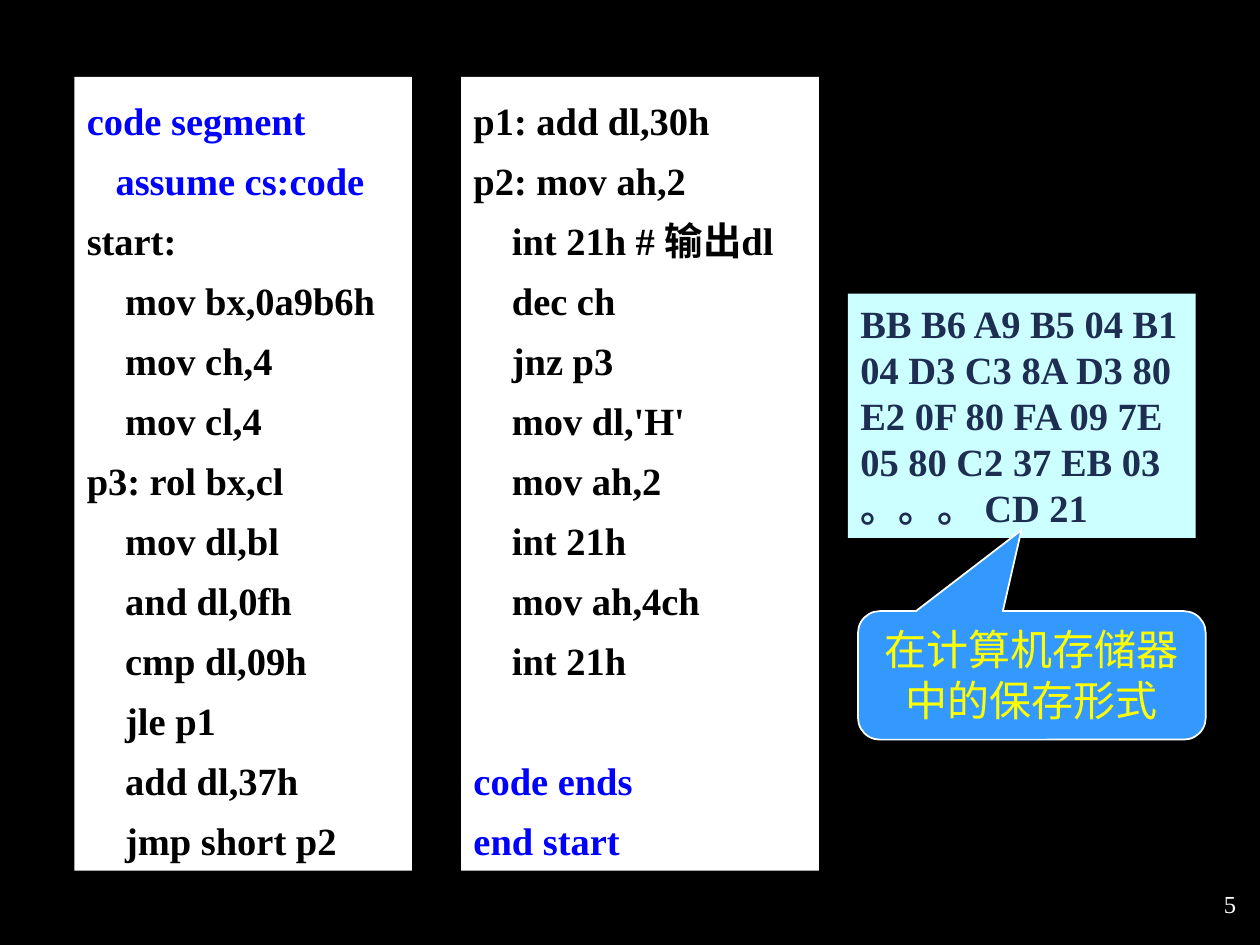
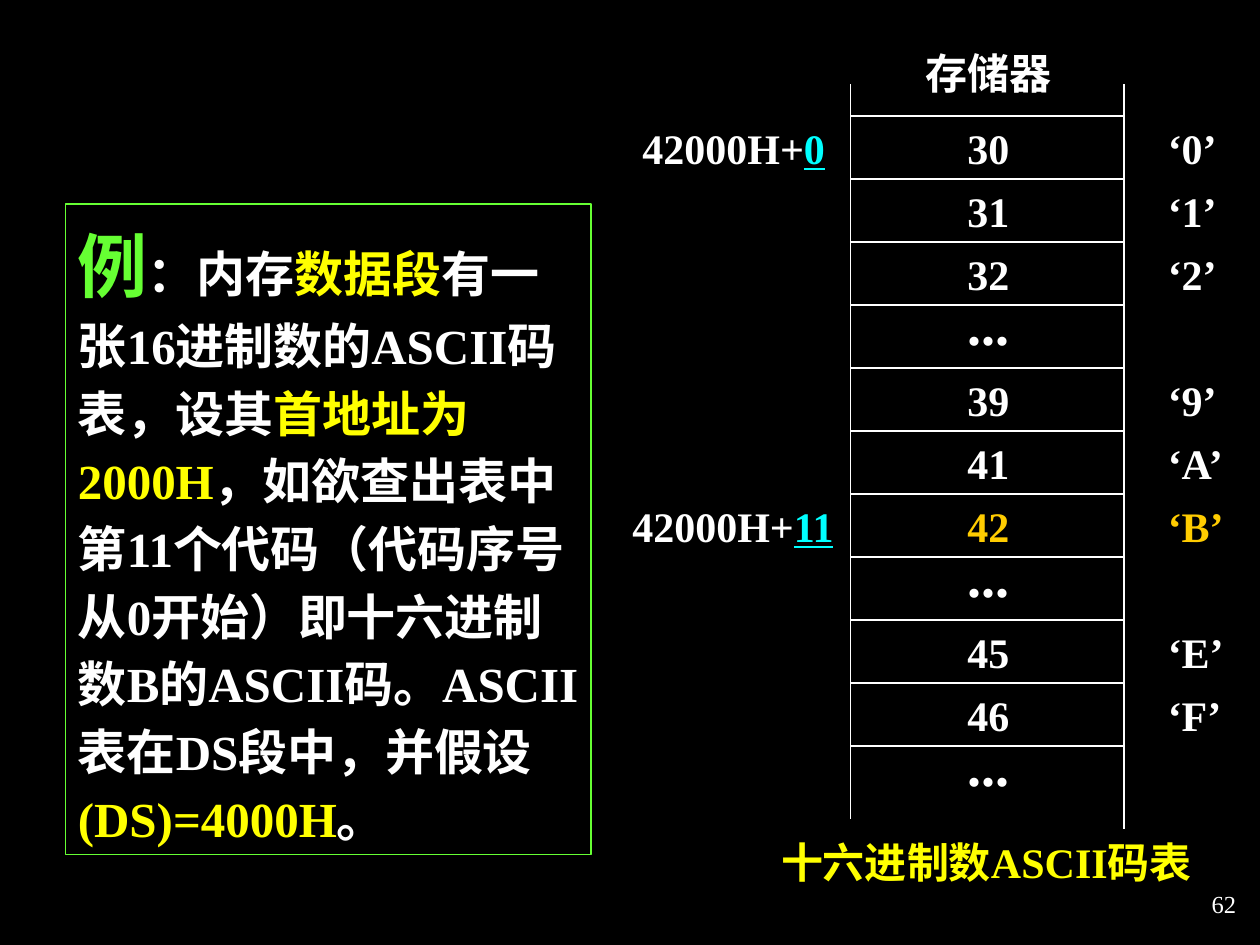
"""Two dark slides on assembly code in memory and a hexadecimal ASCII table."""
from lxml import etree
from pptx import Presentation
from pptx import util as u
from pptx.dml.color import RGBColor
from pptx.enum import shapes, text
from pptx.oxml.ns import qn

FONT = "Times New Roman"
BLACK, WHITE, BLUE, YELLOW = "000000", "FFFFFF", "0000FF", "FFFF00"
GOLD, CYAN, GREEN = "FFCC00", "00FFFF", "66FF33"
NAVY, PALE, SKY = "1E2E53", "CCFFFF", "3399FF"
LEFT, CENTER, RIGHT = text.PP_ALIGN.LEFT, text.PP_ALIGN.CENTER, text.PP_ALIGN.RIGHT

CODE_TOP, CODE_HEIGHT, CODE_SIZE, CODE_PITCH = 0.61, 6.3, 22, 34.3
CODE_COLUMNS = [
    (0.59, 2.68, [
        (BLUE, ["code segment", "   assume cs:code"]),
        (BLACK, ["start:", "    mov bx,0a9b6h", "    mov ch,4", "    mov cl,4",
                 "p3: rol bx,cl", "    mov dl,bl", "    and dl,0fh", "    cmp dl,09h",
                 "    jle p1", "    add dl,37h", "    jmp short p2"]),
    ]),
    (3.66, 2.84, [
        (BLACK, ["p1: add dl,30h", "p2: mov ah,2", "    int 21h # 输出dl", "    dec ch",
                 "    jnz p3", "    mov dl,'H'", "    mov ah,2", "    int 21h",
                 "    mov ah,4ch", "    int 21h"]),
        (BLUE, ["code ends", "end start"]),
    ]),
]
MACHINE_CODE = ["BB B6 A9 B5 04 B1 04 D3 C3 8A D3 80 E2 0F 80 FA 09 7E 05 80 C2 37 EB 03",
                "。。。 CD 21"]
CALLOUT = "在计算机存储器中的保存形式"

MEMORY_TITLE, MEMORY_CAPTION = "存储器", "十六进制数ASCII码表"
MEMORY_ROWS = [("30", "‘0’"), ("31", "‘1’"), ("32", "‘2’"), ("...", ""),
               ("39", "‘9’"), ("41", "‘A’"), ("42", "‘B’"), ("...", ""),
               ("45", "‘E’"), ("46", "‘F’"), ("...", "")]
FOUND_ROW = 6
ADDRESS_BASE = "42000H+"
ADDRESSES = [(0, 5, "0"), (FOUND_ROW, 4.92, "11")]
MEMORY_LEFT, MEMORY_RIGHT, MEMORY_TOP, ROW_HEIGHT = 6.75, 8.92, 0.92, 0.5
EXAMPLE = [
    ("例", GREEN, 40), ("：内存", WHITE, 28), ("数据段", YELLOW, 28),
    ("有一张16进制数的ASCII码表，设其", WHITE, 28), ("首地址为2000H", YELLOW, 28),
    ("，如欲查出表中第11个代码（代码序号从0开始）即十六进制数B的ASCII码。"
     "ASCII表在DS段中，并假设", WHITE, 28),
    ("(DS)=4000H", YELLOW, 28), ("。", WHITE, 28),
]


def rgb(value):
    return RGBColor.from_string(value)


def inches(values):
    return [u.Inches(value) for value in values]


def add_run(paragraph, words, color, size=24, bold=True, underline=None):
    run = paragraph.add_run()
    run.text = words
    font = run.font
    font.name, font.size, font.bold, font.underline = FONT, u.Pt(size), bold, underline
    font.color.rgb = rgb(color)


def prepare_frame(shape, alignment=LEFT, anchor=text.MSO_ANCHOR.TOP):
    frame = shape.text_frame
    frame.word_wrap = True
    frame.vertical_anchor = anchor
    frame.paragraphs[0].alignment = alignment
    return frame


def next_paragraph(frame, index):
    paragraph = frame.add_paragraph() if index else frame.paragraphs[0]
    paragraph.alignment = LEFT
    return paragraph


def add_box(slide, place, fill=None, line=None, width=1, kind=shapes.MSO_SHAPE.RECTANGLE):
    shape = slide.shapes.add_shape(kind, *inches(place))
    shape.shadow.inherit = False
    if fill:
        shape.fill.solid()
        shape.fill.fore_color.rgb = rgb(fill)
    else:
        shape.fill.background()
    if line:
        shape.line.color.rgb = rgb(line)
        shape.line.width = u.Pt(width)
    else:
        shape.line.fill.background()
    return shape


def add_line(slide, start, end):
    connector = slide.shapes.add_connector(shapes.MSO_CONNECTOR.STRAIGHT, *inches(start + end))
    connector.line.color.rgb = rgb(WHITE)
    connector.line.width = u.Pt(1)
    etree.SubElement(connector._element.spPr, qn("a:effectLst"))


def add_label(slide, place, words, color=WHITE, size=24):
    frame = prepare_frame(slide.shapes.add_textbox(*inches(place)))
    add_run(frame.paragraphs[0], words, color, size)
    return frame.paragraphs[0]


def add_dark_slide(presentation, number):
    slide = presentation.slides.add_slide(presentation.slide_layouts[6])
    slide.background.fill.solid()
    slide.background.fill.fore_color.rgb = rgb(BLACK)
    number_box = slide.shapes.add_textbox(*inches((7.83, 6.92, 2.08, 0.5)))
    frame = prepare_frame(number_box, RIGHT, text.MSO_ANCHOR.MIDDLE)
    add_run(frame.paragraphs[0], str(number), WHITE, 14, False)
    return slide


def add_code_column(slide, left, width, sections):
    frame = prepare_frame(add_box(slide, (left, CODE_TOP, width, CODE_HEIGHT), WHITE))
    lines = [(color, line) for color, section in sections for line in section]
    for index, (color, line) in enumerate(lines):
        paragraph = next_paragraph(frame, index)
        paragraph.line_spacing = 1.3
        if line == "code ends":
            paragraph.space_before = u.Pt(CODE_PITCH)
        add_run(paragraph, line, color, CODE_SIZE)


def build_code_slide(presentation):
    slide = add_dark_slide(presentation, 5)
    for column in CODE_COLUMNS:
        add_code_column(slide, *column)
    frame = prepare_frame(add_box(slide, (6.73, 2.33, 2.76, 1.94), PALE))
    for index, line in enumerate(MACHINE_CODE):
        add_run(next_paragraph(frame, index), line, NAVY, CODE_SIZE)
    callout = add_box(slide, (6.81, 4.85, 2.76, 1.02), SKY, WHITE,
                      kind=shapes.MSO_SHAPE.ROUNDED_RECTANGULAR_CALLOUT)
    for index, adjustment in enumerate((-0.03, -1.13, 0.17)):
        callout.adjustments[index] = adjustment
    add_run(prepare_frame(callout, CENTER).paragraphs[0], CALLOUT, YELLOW, bold=False)


def add_memory(slide):
    closed_rows = len(MEMORY_ROWS) - 1
    bottom = MEMORY_TOP + closed_rows * ROW_HEIGHT
    add_box(slide, (MEMORY_LEFT, MEMORY_TOP, MEMORY_RIGHT - MEMORY_LEFT, bottom - MEMORY_TOP),
            line=WHITE)
    for side, end in ((MEMORY_LEFT, 6.5), (MEMORY_RIGHT, 6.58)):
        add_line(slide, (side, MEMORY_TOP), (side, 0.67))
        add_line(slide, (side, bottom), (side, end))
    for row, (value, character) in enumerate(MEMORY_ROWS):
        top = MEMORY_TOP + row * ROW_HEIGHT
        color = GOLD if row == FOUND_ROW else WHITE
        if 0 < row < closed_rows:
            add_line(slide, (MEMORY_LEFT, top), (MEMORY_RIGHT, top))
        if character:
            add_label(slide, (7.58, top, 1.83, ROW_HEIGHT), value, color)
            add_label(slide, (9.17, top, 0.83, ROW_HEIGHT), character, color)
        else:
            add_label(slide, (7.58, top - 0.17, 1.83, 0.64), value, color, 32)
    for row, left, offset in ADDRESSES:
        place = (left, MEMORY_TOP + row * ROW_HEIGHT, 1.83, ROW_HEIGHT)
        add_run(add_label(slide, place, ADDRESS_BASE), offset, CYAN, underline=True)
    add_label(slide, (6.1, 6.59, 3.62, 0.5), MEMORY_CAPTION, YELLOW)
    add_label(slide, (7.25, 0.33, 1.33, 0.5), MEMORY_TITLE)


def build_memory_slide(presentation):
    slide = add_dark_slide(presentation, 62)
    add_memory(slide)
    example = add_box(slide, (0.52, 1.62, 4.17, 5.16), line=GREEN, width=0.75)
    paragraph = prepare_frame(example).paragraphs[0]
    paragraph.line_spacing = 1.15
    for words, color, size in EXAMPLE:
        add_run(paragraph, words, color, size)


def main():
    presentation = Presentation()
    presentation.slide_width, presentation.slide_height = inches((10, 7.5))
    build_code_slide(presentation)
    build_memory_slide(presentation)
    presentation.save("out.pptx")


if __name__ == "__main__":
    main()
